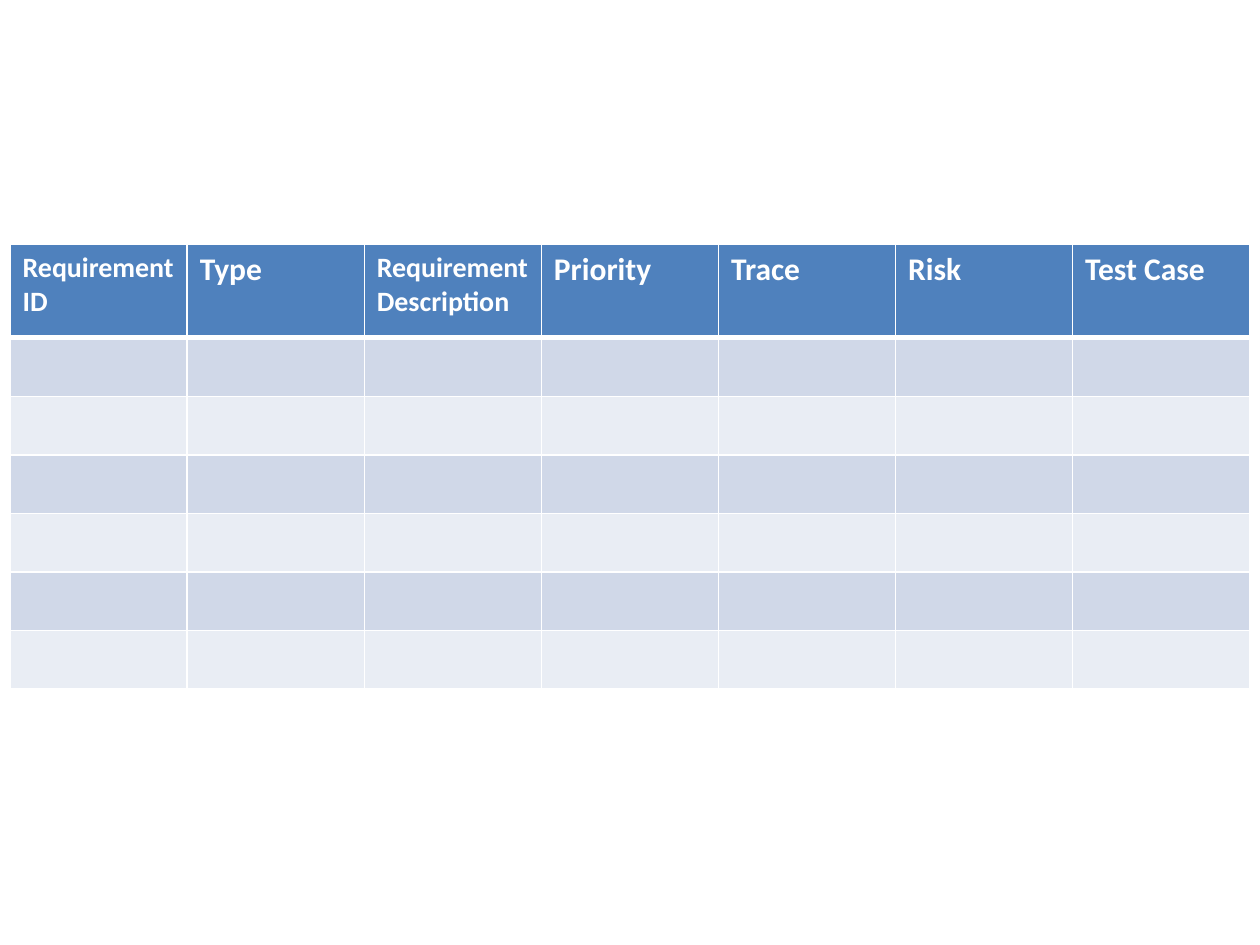
import lxml.etree
import pptx
import pptx.dml.color
import pptx.oxml.ns
import pptx.util

Inches = pptx.util.Inches
Pt = pptx.util.Pt

COLORS = {
    "header": "4F81BD",
    "odd_row": "D0D8E8",
    "even_row": "E9EDF4",
    "white": "FFFFFF",
}
HEADINGS = [
    ("Requirement ID", 16),
    ("Type", 18),
    ("Requirement Description", 16),
    ("Priority", 18),
    ("Trace", 18),
    ("Risk", 18),
    ("Test Case", 18),
]
BODY_ROWS = 6
HEADER_HEIGHT = 0.74


def color(name):
    """Return the named colour as an RGB value."""
    return pptx.dml.color.RGBColor.from_string(COLORS[name])


def write_text(frame, text, size=18, bold=False, fill="white", font="Calibri"):
    """Write one formatted span into a text frame."""
    span = frame.paragraphs[0].add_run()
    span.text = text
    span.font.name = font
    span.font.size = Pt(size)
    span.font.bold = bold
    span.font.color.rgb = color(fill)


def add_border(cell, side, width):
    """Draw a white border on one side (L, R, T or B) of a cell."""
    qn = pptx.oxml.ns.qn
    properties = cell._tc.get_or_add_tcPr()
    line = lxml.etree.SubElement(properties, qn("a:ln" + side), w=str(Pt(width)))
    solid = lxml.etree.SubElement(line, qn("a:solidFill"))
    lxml.etree.SubElement(solid, qn("a:srgbClr"), val=COLORS["white"])


def style_cell(cell, fill, top=1, bottom=1):
    """Give a cell its borders and its fill."""
    for side, width in (("L", 1), ("R", 1), ("T", top), ("B", bottom)):
        add_border(cell, side, width)
    cell.fill.solid()
    cell.fill.fore_color.rgb = color(fill)


def add_requirements_table(page, left, top, width, height):
    """Place the empty requirements matrix in the given box."""
    table = page.shapes.add_table(
        BODY_ROWS + 1, len(HEADINGS),
        Inches(left), Inches(top), Inches(width), Inches(height)).table
    for column in table.columns:
        column.width = Inches(width / len(HEADINGS))
    table.rows[0].height = Inches(HEADER_HEIGHT)
    for index in range(1, BODY_ROWS + 1):
        table.rows[index].height = Inches((height - HEADER_HEIGHT) / BODY_ROWS)

    for index, (heading, size) in enumerate(HEADINGS):
        cell = table.cell(0, index)
        style_cell(cell, "header", bottom=3)
        write_text(cell.text_frame, heading, size=size, bold=True)
        for row in range(1, BODY_ROWS + 1):
            style_cell(table.cell(row, index),
                       "odd_row" if row % 2 else "even_row",
                       top=3 if row == 1 else 1)


def main():
    """Build the deck and save it."""
    deck = pptx.Presentation()
    deck.slide_width, deck.slide_height = Inches(10), Inches(7.5)
    page = deck.slides.add_slide(deck.slide_layouts[6])
    add_requirements_table(page, 0.08, 1.94, 9.84, 3.53)
    deck.save("out.pptx")


main()
